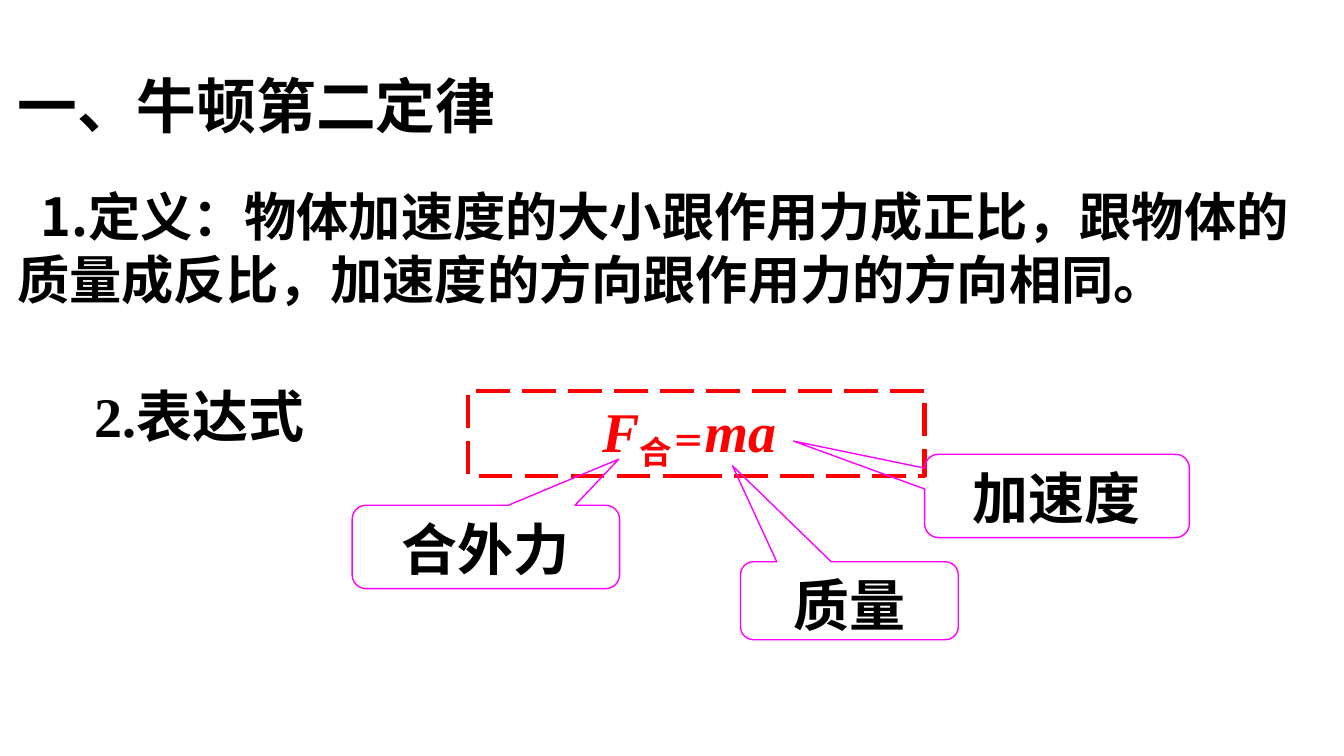
from pptx import Presentation
from pptx.dml.color import RGBColor
from pptx.enum.dml import MSO_LINE_DASH_STYLE as Dash
from pptx.enum.shapes import MSO_SHAPE as Shape
from pptx.enum.text import MSO_ANCHOR as Anchor, MSO_AUTO_SIZE as AutoSize, PP_ALIGN as Align
from pptx.oxml.ns import qn
from pptx.util import Inches, Pt

SANS, SERIF = "Noto Sans CJK SC", "Times New Roman"
BLACK, RED, MAGENTA = "000000", "FF0000", "FF00FF"

# Content
HEADING = "一、牛顿第二定律"
DEFINITION = "1.定义：物体加速度的大小跟作用力成正比，跟物体的质量成反比，加速度的方向跟作用力的方向相同。"
EXPRESSION = "2.表达式"
# text, italic, baseline shift in percent
FORMULA = [("F", True, 0), ("合", False, -22), ("＝", False, -2), ("ma ", True, 0)]
# text, (left, top, width, height), pointer tip relative to the centre
CALLOUTS = [
    ("合外力", (2.62, 3.76, 1.99, 0.62), (0.497, -1.054)),
    ("质量", (5.51, 4.18, 1.62, 0.58), (-0.537, -1.732)),
    ("加速度", (6.88, 3.38, 1.97, 0.62), (-0.995, -0.658)),
]


def color(hex_code):
    return RGBColor.from_string(hex_code)


def place(part, box):
    part.left, part.top, part.width, part.height = map(Inches, box)


def write(part, runs, size, font=SERIF, hex_code=BLACK, align=Align.LEFT, grow=True):
    frame = part.text_frame
    frame.word_wrap = True
    frame.vertical_anchor = Anchor.TOP
    frame.auto_size = AutoSize.SHAPE_TO_FIT_TEXT if grow else AutoSize.NONE
    frame.margin_left = frame.margin_right = Inches(0.08)
    frame.margin_top = frame.margin_bottom = Inches(0.04)
    paragraph = frame.paragraphs[0]
    paragraph.alignment = align
    paragraph.line_spacing = 1.0
    paragraph.space_before = Pt(0)
    for text, italic, shift in runs:
        run = paragraph.add_run()
        run.text = text
        run.font.size, run.font.name = Pt(size), font
        run.font.bold, run.font.italic = True, italic
        run.font.color.rgb = color(hex_code)
        properties = run.font._element
        if shift:
            properties.set("baseline", str(shift * 1000))
        if font == SANS:
            east_asian = properties.makeelement(qn("a:ea"), {"typeface": font})
            properties.find(qn("a:latin")).addnext(east_asian)
    return paragraph


def outlined(slide, kind, box, hex_code, width):
    part = slide.shapes.add_shape(kind, *map(Inches, box))
    part.shadow.inherit = False
    part.fill.background()
    part.line.color.rgb = color(hex_code)
    part.line.width = Pt(width)
    return part


def text_box(slide, box):
    return slide.shapes.add_textbox(*map(Inches, box))


def main():
    deck = Presentation()
    deck.slide_width = Inches(10)
    deck.slide_height = deck.slide_width * 9 // 16
    slide = deck.slides.add_slide(deck.slide_layouts[5])

    # Heading and definition
    heading = slide.shapes.title
    place(heading, (0.05, 0.47, 9.9, 0.61))
    write(heading, [(HEADING, False, 0)], 32, SANS)
    definition = text_box(slide, (0.05, 1.33, 9.96, 1.48))
    paragraph = write(definition, [(DEFINITION, False, 0)], 28, SANS)
    paragraph._p.get_or_add_pPr().set("indent", str(Inches(0.17)))

    # Formula in its dashed frame
    formula = outlined(slide, Shape.RECTANGLE, (3.48, 2.91, 3.4, 0.63), RED, 2.25)
    formula.line.dash_style = Dash.LONG_DASH
    write(formula, FORMULA, 30, hex_code=RED, align=Align.CENTER)

    # Callouts naming each quantity
    for text, box, tip in CALLOUTS:
        callout = outlined(slide, Shape.ROUNDED_RECTANGULAR_CALLOUT, box, MAGENTA, 0.75)
        callout.adjustments[0], callout.adjustments[1] = tip
        write(callout, [(text, False, 0)], 30, align=Align.CENTER, grow=False)

    # Label for the formula
    expression = text_box(slide, (0.62, 2.8, 1.78, 1.08))
    write(expression, [(EXPRESSION, False, 0)], 30)

    deck.save("out.pptx")


if __name__ == "__main__":
    main()
